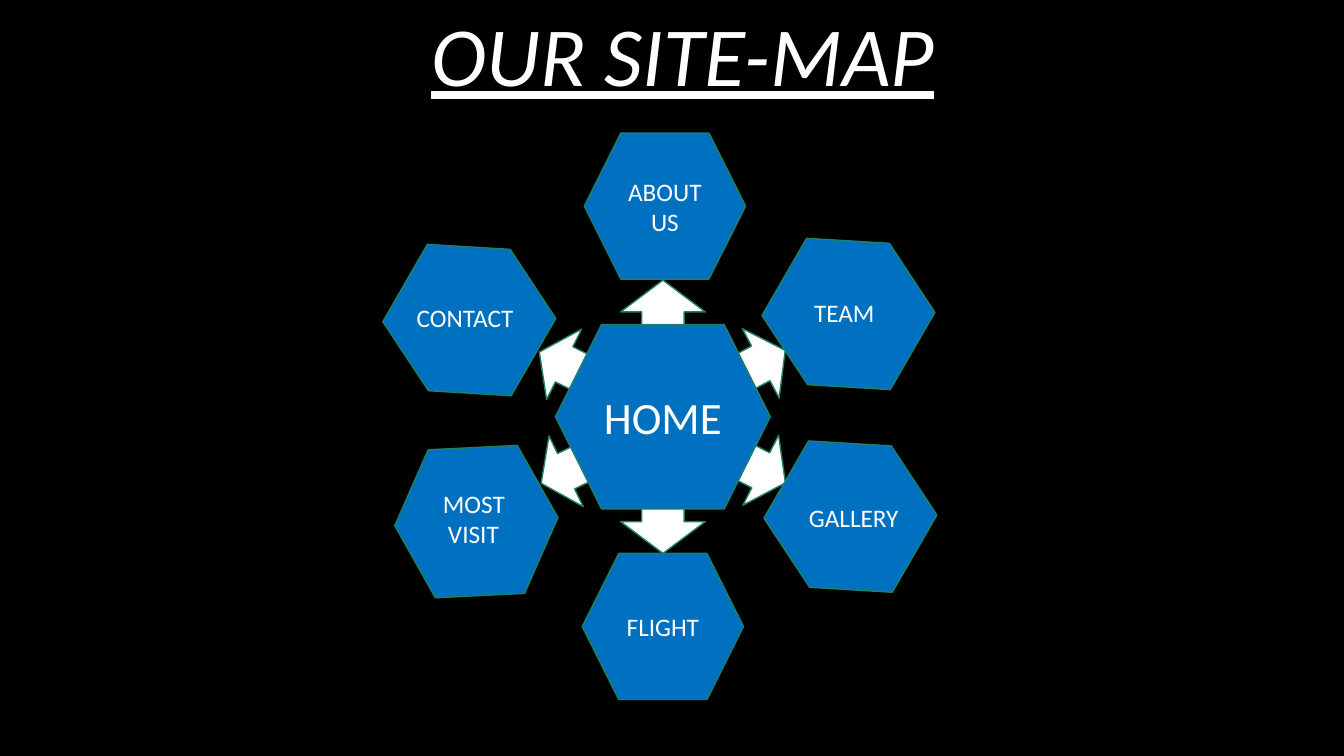
from dataclasses import dataclass

from pptx import Presentation
from pptx.dml.color import RGBColor
from pptx.enum.shapes import MSO_SHAPE
from pptx.enum.text import MSO_ANCHOR, PP_ALIGN
from pptx.util import Inches, Pt


@dataclass(frozen=True)
class Theme:
    """Colours, font and type sizes of the slide."""
    back: RGBColor = RGBColor(0, 0, 0)
    tile: RGBColor = RGBColor(0x00, 0x70, 0xC0)
    edge: RGBColor = RGBColor(0x1E, 0x81, 0x68)
    white: RGBColor = RGBColor(255, 255, 255)
    font: str = "Calibri"
    title: int = 60
    hub: int = 32
    label: int = 18


THEME = Theme()

ARROWS = [
    (-0.96, 0.54, 0.55, 0.78, 334.2),
    (0, 1.04, 0.63, 0.84, 270),
    (0.97, 0.53, 0.55, 0.78, 207),
    (0.97, -0.53, 0.55, 0.78, 152.1),
    (0, -1.04, 0.63, 0.84, 90),
    (-0.98, -0.52, 0.55, 0.78, 26.4),
]

UPRIGHT = [
    (0, 0, 2.13, 1.83, ["HOME"], THEME.hub),
    (0, 2.08, 1.6, 1.45, ["FLIGHT"], THEME.label),
    (0.02, -2.09, 1.6, 1.45, ["ABOUT", "US"], THEME.label),
]

TILTED = [
    (-1.85, 1.04, 357.2, ["MOST", "VISIT"], (-2.28, 0.66, 1.05, 0.71)),
    (-1.92, -0.96, 300, ["CONTACT"], (-2.54, -1.18, 1.23, 0.4)),
    (1.84, -1.02, 300, ["TEAM"], (1.4, -1.23, 0.95, 0.4)),
    (1.86, 0.99, 300, ["GALLERY"], (1.35, 0.8, 1.15, 0.4)),
]


def write(shape, lines, size, align=PP_ALIGN.LEFT):
    """Fill a shape with white lines of text and return its paragraphs."""
    frame = shape.text_frame
    frame.word_wrap = True
    frame.text = "\n".join(lines)
    for para in frame.paragraphs:
        para.alignment = align
        para.font.name = THEME.font
        para.font.size = Pt(size)
        para.font.color.rgb = THEME.white
    return frame.paragraphs


def label(slide, box, lines, size):
    """Place a left-aligned text box and return its paragraphs."""
    return write(slide.shapes.add_textbox(*map(Inches, box)), lines, size)


def piece(slide, kind, x, y, wide, high, turn, fill):
    """Place an outlined preset shape centred on a point."""
    box = (x - wide / 2, y - high / 2, wide, high)
    shape = slide.shapes.add_shape(kind, *map(Inches, box))
    shape.rotation = turn
    shape.shadow.inherit = False
    shape.fill.solid()
    shape.fill.fore_color.rgb = fill
    shape.line.color.rgb = THEME.edge
    shape.line.width = Pt(1)
    return shape


def title(slide, box):
    """Write the slide title in its box."""
    head = label(slide, box, ["OUR SITE-MAP"], THEME.title)[0]
    head.font.italic = True
    head.font.underline = True


def sitemap(slide, box):
    """Draw the hub, its arrows and its pages around the box centre."""
    left, top, wide, high = box
    mid, row = left + wide / 2, top + high / 2
    for x, y, w, h, turn in ARROWS:
        piece(slide, MSO_SHAPE.LEFT_ARROW, mid + x, row + y, w, h, turn, THEME.white)
    for x, y, w, h, lines, size in UPRIGHT:
        tile = piece(slide, MSO_SHAPE.HEXAGON, mid + x, row + y, w, h, 0, THEME.tile)
        tile.text_frame.vertical_anchor = MSO_ANCHOR.MIDDLE
        write(tile, lines, size, PP_ALIGN.CENTER)
    for x, y, turn, _, _ in TILTED:
        piece(slide, MSO_SHAPE.HEXAGON, mid + x, row + y, 1.62, 1.47, turn, THEME.tile)
    for _, _, _, lines, (x, y, w, h) in TILTED:
        paras = label(slide, (mid + x, row + y, w, h), lines, THEME.label)
        for para in paras[1:]:
            para._p.get_or_add_pPr().set("marL", str(Inches(0.05)))


def main():
    """Build and save the slide."""
    deck = Presentation()
    deck.slide_width, deck.slide_height = Inches(13.33), Inches(7.5)
    slide = deck.slides.add_slide(deck.slide_layouts[6])
    slide.background.fill.solid()
    slide.background.fill.fore_color.rgb = THEME.back
    sitemap(slide, (3.87, 1.32, 5.41, 5.63))
    title(slide, (4.18, -0.02, 7.3, 1.11))
    deck.save("out.pptx")


if __name__ == "__main__":
    main()
